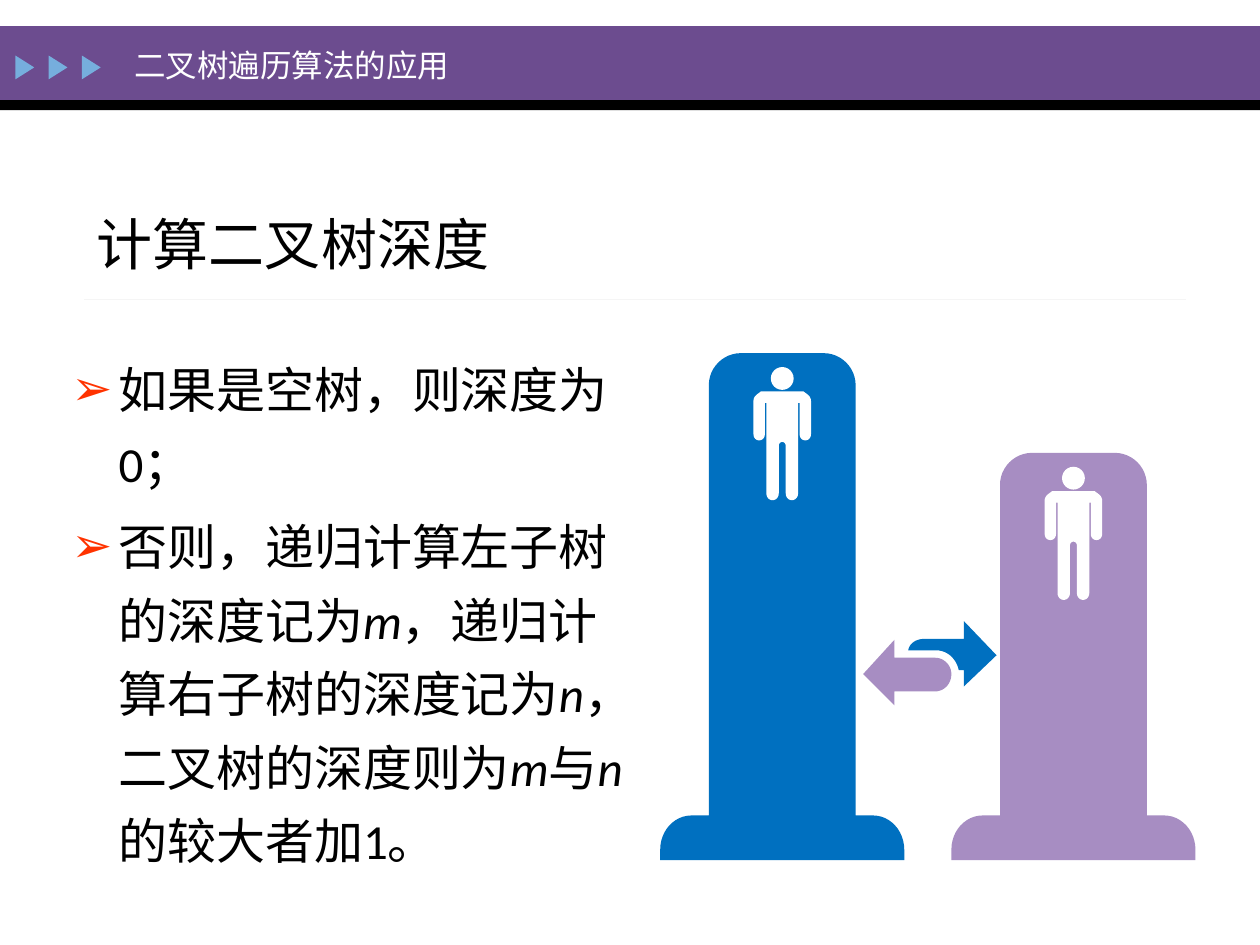
"""Build the slide on computing the depth of a binary tree."""
from lxml import etree
from pptx import Presentation
from pptx.dml.color import RGBColor
from pptx.enum.shapes import MSO_CONNECTOR, MSO_SHAPE
from pptx.enum.text import MSO_ANCHOR, MSO_AUTO_SIZE, PP_ALIGN
from pptx.oxml.ns import qn
from pptx.util import Cm, Pt

RECTANGLE, TRIANGLE, OVAL = MSO_SHAPE.RECTANGLE, MSO_SHAPE.ISOSCELES_TRIANGLE, MSO_SHAPE.OVAL
STRAIGHT = MSO_CONNECTOR.STRAIGHT
TOP, MIDDLE = MSO_ANCHOR.TOP, MSO_ANCHOR.MIDDLE
LEFT, NO_AUTOFIT = PP_ALIGN.LEFT, MSO_AUTO_SIZE.NONE

FONT = "Calibri"
COLORS = {
    "band": "6C4C8F", "black": "000000", "white": "FFFFFF", "marker": "76AEDD",
    "bullet": "FF3300", "blue": "0070C0", "lilac": "A78DC2", "rule": "F5F5F5",
}

SECTION = "二叉树遍历算法的应用"
TITLE = "计算二叉树深度"
RULES = [
    [("如果是空树，则深度为0；", False)],
    [("否则，递归计算左子树的深度记为", False), ("m", True), ("，递归计算右子树的深度记为", False),
     ("n", True), ("，二叉树的深度则为", False), ("m", True), ("与", False), ("n", True),
     ("的较大者加1。", False)],
]

SLIDE_WIDTH, SLIDE_HEIGHT = 25.4, 19.05
BANDS = [("band", 0.53, 1.5), ("black", 2.02, 0.2)]
MARKER_LEFT, MARKER_STEP, MARKER_COUNT = 0.26, 0.67, 3
TOWERS = [("blue", 15.77, 7.12), ("lilac", 21.64, 9.13)]
TOWER_FOOT, FOOT_HEIGHT = 17.34, 0.9
HEAD_SIZE, HEAD_DROP, BODY_DROP = 0.46, 0.28, 0.77

# Outlines: two numbers are a corner, six are a cubic curve.
HALF_BODY = [
    (0, 0), (-0.43, 0), (-0.48, 0.05, -0.58, 0.08, -0.58, 0.2), (-0.58, 0.86),
    (-0.58, 1.03, -0.35, 1.03, -0.35, 0.86), (-0.35, 0.23), (-0.32, 0.23), (-0.32, 2.05),
    (-0.32, 2.24, -0.07, 2.24, -0.07, 2.05), (-0.07, 1.1), (-0.07, 1.05, -0.04, 1.02, 0, 1.02),
]
ARROWS = [
    ("lilac", [
        (18.03, 13.26), (18.03, 12.9), (17.4, 13.59), (18.03, 14.22), (18.03, 13.94),
        (18.85, 13.94), (19.03, 13.94, 19.18, 13.79, 19.18, 13.59),
        (19.18, 13.41, 19.03, 13.26, 18.85, 13.26)]),
    ("blue", [
        (18.87, 13.11), (18.31, 13.11), (18.34, 12.95, 18.49, 12.88, 18.64, 12.88),
        (19.43, 12.88), (19.43, 12.52), (20.09, 13.21), (19.43, 13.84), (19.43, 13.51),
        (19.33, 13.51), (19.28, 13.28, 19.1, 13.11, 18.87, 13.11)]),
]


def color(name):
    return RGBColor.from_string(COLORS[name])


def half_tower(height):
    shoulder = height - FOOT_HEIGHT
    return [
        (0, 0), (-0.83, 0), (-1.19, 0, -1.48, 0.29, -1.48, 0.65), (-1.48, shoulder),
        (-1.83, shoulder), (-2.18, shoulder, -2.46, shoulder + 0.31, -2.46, shoulder + 0.69),
        (-2.46, height),
    ]


def trace(outline, steps=12):
    points = []
    for segment in outline:
        if len(segment) == 2:
            points.append(segment)
            continue
        (x0, y0), (x1, y1, x2, y2, x3, y3) = points[-1], segment
        for step in range(1, steps + 1):
            t = step / steps
            a, b, c, d = (1 - t) ** 3, 3 * t * (1 - t) ** 2, 3 * t * t * (1 - t), t ** 3
            points.append((a * x0 + b * x1 + c * x2 + d * x3, a * y0 + b * y1 + c * y2 + d * y3))
    return points


def mirrored(half):
    points = trace(half)
    return points + [(-x, y) for x, y in reversed(points)]


def paint(shape, fill):
    shape.shadow.inherit = False
    shape.fill.solid()
    shape.fill.fore_color.rgb = color(fill)
    shape.line.fill.background()


def add_preset(slide, preset, fill, left, top, width, height):
    shape = slide.shapes.add_shape(preset, Cm(left), Cm(top), Cm(width), Cm(height))
    paint(shape, fill)
    return shape


def add_outline(slide, points, fill, left=0, top=0):
    placed = [(Cm(left + x), Cm(top + y)) for x, y in points]
    builder = slide.shapes.build_freeform(*placed[0])
    builder.add_line_segments(placed[1:], close=True)
    paint(builder.convert_to_shape(), fill)


def place(box, left, top, width, height):
    box.left, box.top, box.width, box.height = Cm(left), Cm(top), Cm(width), Cm(height)


def write(box, paragraphs, size, ink, anchor, spacing=1.0, bullet=None):
    frame = box.text_frame
    frame.word_wrap, frame.auto_size, frame.vertical_anchor = True, NO_AUTOFIT, anchor
    for index, runs in enumerate(paragraphs):
        paragraph = frame.add_paragraph() if index else frame.paragraphs[0]
        paragraph.alignment, paragraph.line_spacing = LEFT, spacing
        paragraph.space_before = Pt(5.6 if index else 0)
        if bullet:
            add_bullet(paragraph, bullet)
        paragraph.font.name, paragraph.font.size = FONT, Pt(size)
        paragraph.font.color.rgb = color(ink)
        for text, italic in runs:
            run = paragraph.add_run()
            run.text = text
            if italic:
                run.font.italic = True


def add_bullet(paragraph, bullet):
    properties = paragraph._p.get_or_add_pPr()
    indent = Cm(0.95)
    properties.set("marL", str(indent))
    properties.set("indent", str(-indent))
    tint = etree.SubElement(properties, qn("a:buClr"))
    etree.SubElement(tint, qn("a:srgbClr"), val=COLORS["bullet"])
    etree.SubElement(properties, qn("a:buFont"), typeface=FONT)
    etree.SubElement(properties, qn("a:buChar"), char=bullet)


def main():
    deck = Presentation()
    deck.slide_width, deck.slide_height = Cm(SLIDE_WIDTH), Cm(SLIDE_HEIGHT)
    slide = deck.slides.add_slide(deck.slide_layouts[5])

    for fill, top, height in BANDS:
        add_preset(slide, RECTANGLE, fill, 0, top, SLIDE_WIDTH, height)
    for index in range(MARKER_COUNT):
        left = MARKER_LEFT + index * MARKER_STEP
        add_preset(slide, TRIANGLE, "marker", left, 1.17, 0.48, 0.38).rotation = 90

    title = slide.shapes.title
    place(title, 1.7, 3.84, 13.59, 1.8)
    write(title, [[(TITLE, False)]], 32, "black", MIDDLE, 1.25)
    section = slide.shapes.add_textbox(Cm(2.46), Cm(0.6), Cm(18.47), Cm(1.42))
    write(section, [[(SECTION, False)]], 18, "white", MIDDLE)
    rules = slide.shapes.add_textbox(Cm(1.19), Cm(6.83), Cm(11.86), Cm(10.97))
    write(rules, RULES, 28, "black", TOP, 1.25, "➢")

    for fill, center, top in TOWERS:
        add_outline(slide, mirrored(half_tower(TOWER_FOOT - top)), fill, center, top)
        add_preset(slide, OVAL, "white", center - HEAD_SIZE / 2, top + HEAD_DROP,
                   HEAD_SIZE, HEAD_SIZE)
        add_outline(slide, mirrored(HALF_BODY), "white", center, top + BODY_DROP)
    for fill, outline in ARROWS:
        add_outline(slide, trace(outline), fill)

    divider = slide.shapes.add_connector(STRAIGHT, Cm(1.7), Cm(6.04), Cm(23.9), Cm(6.04))
    divider.line.color.rgb = color("rule")
    divider.line.width = Pt(0.75)
    etree.SubElement(divider._element.spPr, qn("a:effectLst"))

    deck.save("out.pptx")


if __name__ == "__main__":
    main()
